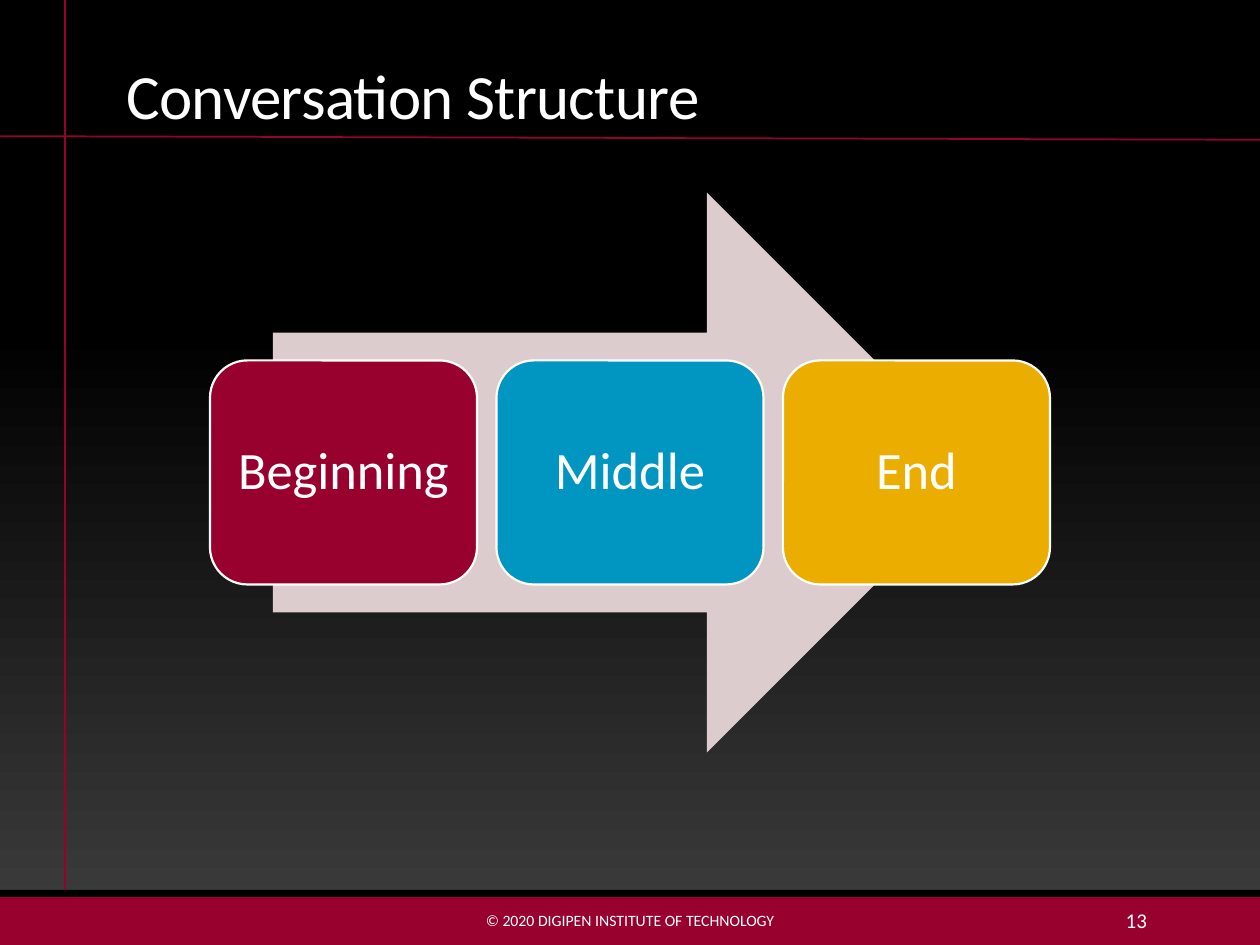
from lxml import etree
from pptx import Presentation
from pptx.dml.color import RGBColor
from pptx.enum import shapes, text
from pptx.oxml.ns import qn
from pptx.util import Pt

CRIMSON, WHITE, BLACK = "98012E", "FFFFFF", "000000"
STAGES = [("Beginning", CRIMSON), ("Middle", "0196C1"), ("End", "EAAD00")]


def colour(value):
    """Turn a hex string into a colour."""
    return RGBColor.from_string(value)


def write(frame, wording, size, align, anchor=text.MSO_ANCHOR.MIDDLE):
    """Fill a text frame with one white paragraph and return the paragraph."""
    frame.text = wording
    frame.word_wrap = True
    frame.auto_size = text.MSO_AUTO_SIZE.NONE
    frame.vertical_anchor = anchor
    paragraph = frame.paragraphs[0]
    paragraph.alignment = align
    font = paragraph.runs[0].font
    font.name, font.size = "Calibri", Pt(size)
    font.color.rgb = colour(WHITE)
    return paragraph


def add_block(slide, kind, left, top, width, height, fill):
    """Add a flat, borderless preset shape."""
    block = slide.shapes.add_shape(kind, Pt(left), Pt(top), Pt(width), Pt(height))
    block.shadow.inherit = False
    block.fill.solid()
    block.fill.fore_color.rgb = colour(fill)
    block.line.fill.background()
    return block


def add_rule(slide, x1, y1, x2, y2):
    """Add a thin crimson line."""
    rule = slide.shapes.add_connector(
        shapes.MSO_CONNECTOR.STRAIGHT, Pt(x1), Pt(y1), Pt(x2), Pt(y2))
    rule.line.color.rgb = colour(CRIMSON)
    rule.line.width = Pt(1)
    etree.SubElement(rule._element.spPr, qn("a:effectLst"))


def add_backdrop(slide, width, height):
    """Paint the gradient and the crossing rules."""
    fill = slide.background.fill
    fill.gradient()
    fill.gradient_angle = 90
    for stop, (position, shade) in zip(fill.gradient_stops, [(0, "3F3F3F"), (0.65, BLACK)]):
        stop.position = position
        stop.color.rgb = colour(shade)
    add_rule(slide, 37, 0, 37, height)
    add_rule(slide, 0, 77.8, width, 79.9)


def add_title(slide, left, top, width, height):
    """Place and format the slide title."""
    title = slide.shapes.title
    title.left, title.top, title.width, title.height = map(Pt, (left, top, width, height))
    heading = write(title.text_frame, "Conversation Structure", 36,
                    text.PP_ALIGN.LEFT, text.MSO_ANCHOR.BOTTOM)
    heading.line_spacing = 0.85
    heading.runs[0].font._element.set("spc", "-40")


def add_footer(slide, left, top, width, height):
    """Draw the footer band with the copyright line and page number."""
    edge = 4
    bar = shapes.MSO_SHAPE.RECTANGLE
    add_block(slide, bar, left, top + edge, width, height - edge, CRIMSON)
    add_block(slide, bar, left, top, width, edge, BLACK)
    notes = [("© 2020 DIGIPEN INSTITUTE OF TECHNOLOGY", 9, 217.5, 285, text.PP_ALIGN.CENTER),
             ("13", 12, 584.5, 78, text.PP_ALIGN.RIGHT)]
    for wording, size, offset, span, align in notes:
        note = slide.shapes.add_textbox(Pt(left + offset), Pt(top + 2.8), Pt(span), Pt(28.8))
        write(note.text_frame, wording, size, align)


def add_process(slide, left, top, width, height):
    """Draw the stages in a row over a wide arrow."""
    gap = 11.1
    stage_width = (width - gap * (len(STAGES) - 1)) / len(STAGES)
    stage_height = height * 0.4
    arrow_width = width * 0.85
    add_block(slide, shapes.MSO_SHAPE.RIGHT_ARROW, left + (width - arrow_width) / 2,
              top, arrow_width, height, "DDCCCD")
    for index, (wording, fill) in enumerate(STAGES):
        stage = add_block(slide, shapes.MSO_SHAPE.ROUNDED_RECTANGLE,
                          left + index * (stage_width + gap),
                          top + (height - stage_height) / 2, stage_width, stage_height, fill)
        stage.line.color.rgb = colour(WHITE)
        stage.line.width = Pt(1.25)
        frame = stage.text_frame
        frame.margin_left = frame.margin_right = Pt(8)
        write(frame, wording, 30, text.PP_ALIGN.CENTER).line_spacing = 0.9


def main():
    """Build the slide and save it."""
    deck = Presentation()
    deck.slide_width, deck.slide_height = Pt(720), Pt(540)
    slide = deck.slides.add_slide(deck.slide_layouts[5])
    add_backdrop(slide, 720, 512.5)
    add_footer(slide, 0, 508.5, 720, 31.5)
    add_title(slide, 65, 11.5, 594, 67.7)
    add_process(slide, 120, 110, 480, 320)
    deck.save("out.pptx")


if __name__ == "__main__":
    main()
